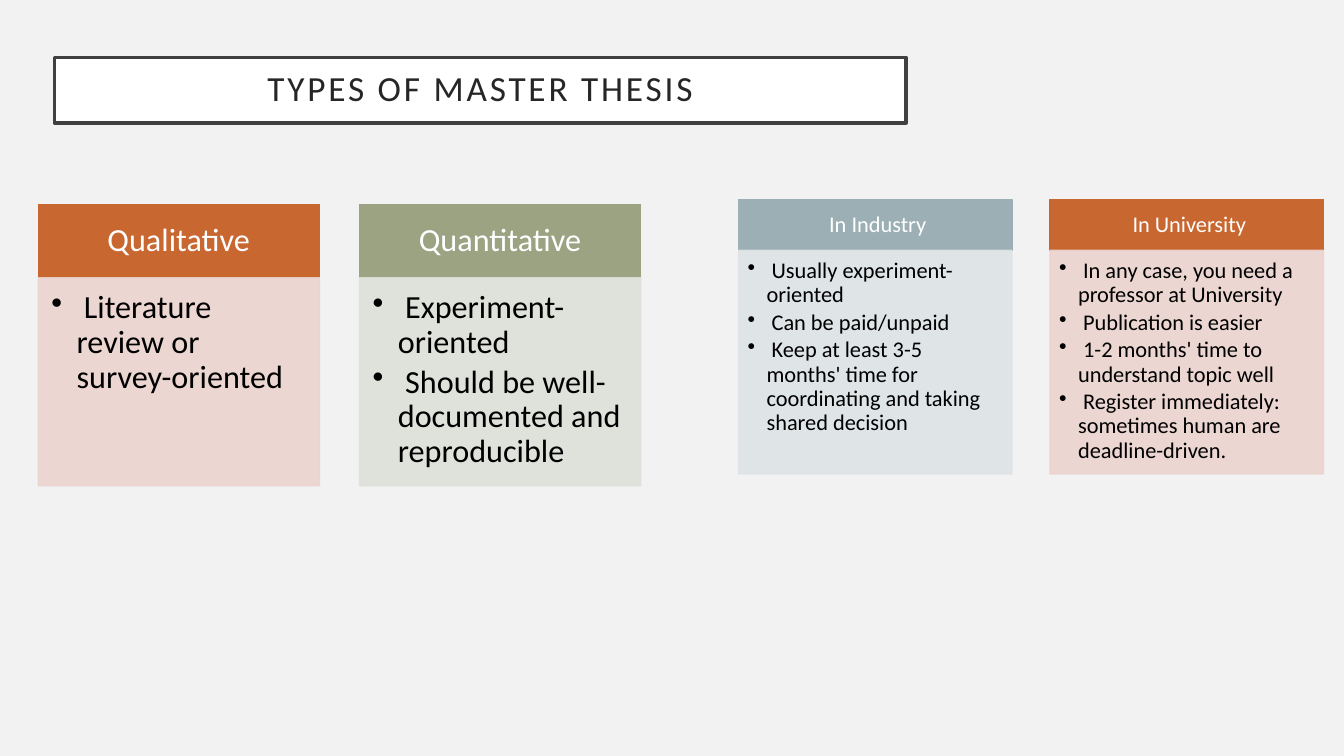
import pptx
import pptx.util
import pptx.dml.color
import pptx.enum.shapes
import pptx.enum.text
import pptx.oxml.ns
from lxml import etree

Pt = pptx.util.Pt
FONT = "Calibri"
TITLE = "TYPES OF MASTER THESIS"
ORANGE = ("C96731", "EBD3CE")
GREEN = ("9CA383", "DEE0D9")
BLUE = ("9BAFB5", "DEE3E5")

CARD_GROUPS = [
    {
        "left": 27.3, "top": 146.2, "width": 200.9, "pitch": 229.5,
        "header_height": 52.2, "body_height": 148.5,
        "size": 23, "indent": 18,
        "header_insets": (13, 7.2, 13, 7.2),
        "body_insets": (9.4, 9.4, 13, 14.4),
        "cards": [
            ("Qualitative", ORANGE, [" Literature review or survey-oriented"]),
            ("Quantitative", GREEN, [
                " Experiment-oriented",
                " Should be well-documented and reproducible",
            ]),
        ],
    },
    {
        "left": 527.6, "top": 142.5, "width": 195.2, "pitch": 222.5,
        "header_height": 36.3, "body_height": 159.8,
        "size": 16, "indent": 13.5,
        "header_insets": (8.6, 5, 8.6, 5),
        "body_insets": (6.5, 6.5, 8.6, 10),
        "cards": [
            (" In Industry", BLUE, [
                " Usually experiment-oriented",
                " Can be paid/unpaid",
                " Keep at least 3-5 months' time for coordinating and taking shared decision",
            ]),
            (" In University", ORANGE, [
                " In any case, you need a professor at University",
                " Publication is easier",
                " 1-2 months' time to understand topic well",
                " Register immediately: sometimes human are deadline-driven.",
            ]),
        ],
    },
]


def color(hex_string):
    return pptx.dml.color.RGBColor.from_string(hex_string)


def paint(shape, fill, line, line_width):
    shape.fill.solid()
    shape.fill.fore_color.rgb = color(fill)
    shape.line.color.rgb = color(line)
    shape.line.width = Pt(line_width)


def set_opacity(shape, percent):
    for element in shape._element.spPr.iter(pptx.oxml.ns.qn("a:srgbClr")):
        alpha = etree.SubElement(element, pptx.oxml.ns.qn("a:alpha"))
        alpha.set("val", str(percent * 1000))


def write(shape, lines, size, text_color, insets, anchor, alignment):
    frame = shape.text_frame
    frame.text = "\n".join(lines)
    frame.word_wrap = True
    frame.auto_size = pptx.enum.text.MSO_AUTO_SIZE.NONE
    frame.vertical_anchor = anchor
    frame.margin_left, frame.margin_top, frame.margin_right, frame.margin_bottom = map(Pt, insets)
    for paragraph in frame.paragraphs:
        paragraph.alignment = alignment
        paragraph.line_spacing = 0.9
        for run in paragraph.runs:
            run.font.name = FONT
            run.font.size = Pt(size)
            run.font.color.rgb = color(text_color)


def add_bullets(shape, indent, space_after):
    for paragraph in shape.text_frame.paragraphs:
        paragraph.space_after = Pt(space_after)
        properties = paragraph._p.get_or_add_pPr()
        properties.set("marL", str(Pt(indent)))
        properties.set("indent", str(-Pt(indent)))
        bullet = etree.SubElement(properties, pptx.oxml.ns.qn("a:buChar"))
        bullet.set("char", "•")


def add_box(slide, left, top, width, height, fill):
    box = slide.shapes.add_shape(
        pptx.enum.shapes.MSO_SHAPE.RECTANGLE, Pt(left), Pt(top), Pt(width), Pt(height))
    box.shadow.inherit = False
    paint(box, fill, fill, 1)
    return box


def add_card(slide, group, left, heading, colors, points):
    anchors = pptx.enum.text.MSO_ANCHOR
    alignments = pptx.enum.text.PP_ALIGN
    header_color, body_color = colors
    header = add_box(slide, left, group["top"], group["width"],
                     group["header_height"], header_color)
    write(header, [heading], group["size"], "FFFFFF", group["header_insets"],
          anchors.MIDDLE, alignments.CENTER)
    body = add_box(slide, left, group["top"] + group["header_height"], group["width"],
                   group["body_height"], body_color)
    set_opacity(body, 90)
    write(body, points, group["size"], "000000", group["body_insets"],
          anchors.TOP, alignments.LEFT)
    add_bullets(body, group["indent"], round(group["size"] * 0.15, 1))


def add_title(slide):
    title = slide.shapes.title
    title.left, title.top, title.width, title.height = map(Pt, (38.9, 41, 608.4, 46.8))
    paint(title, "FFFFFF", "404040", 2.5)
    write(title, [TITLE], 25.2, "262626", (14.4,) * 4,
          pptx.enum.text.MSO_ANCHOR.MIDDLE, pptx.enum.text.PP_ALIGN.CENTER)
    title.text_frame.paragraphs[0].runs[0].font._element.set("spc", "200")


def main():
    presentation = pptx.Presentation()
    presentation.slide_width = Pt(960)
    presentation.slide_height = Pt(540)
    slide = presentation.slides.add_slide(presentation.slide_layouts[5])
    slide.background.fill.solid()
    slide.background.fill.fore_color.rgb = color("F2F2F2")
    add_title(slide)
    for group in CARD_GROUPS:
        for index, card in enumerate(group["cards"]):
            add_card(slide, group, group["left"] + index * group["pitch"], *card)
    presentation.save("out.pptx")


if __name__ == "__main__":
    main()
